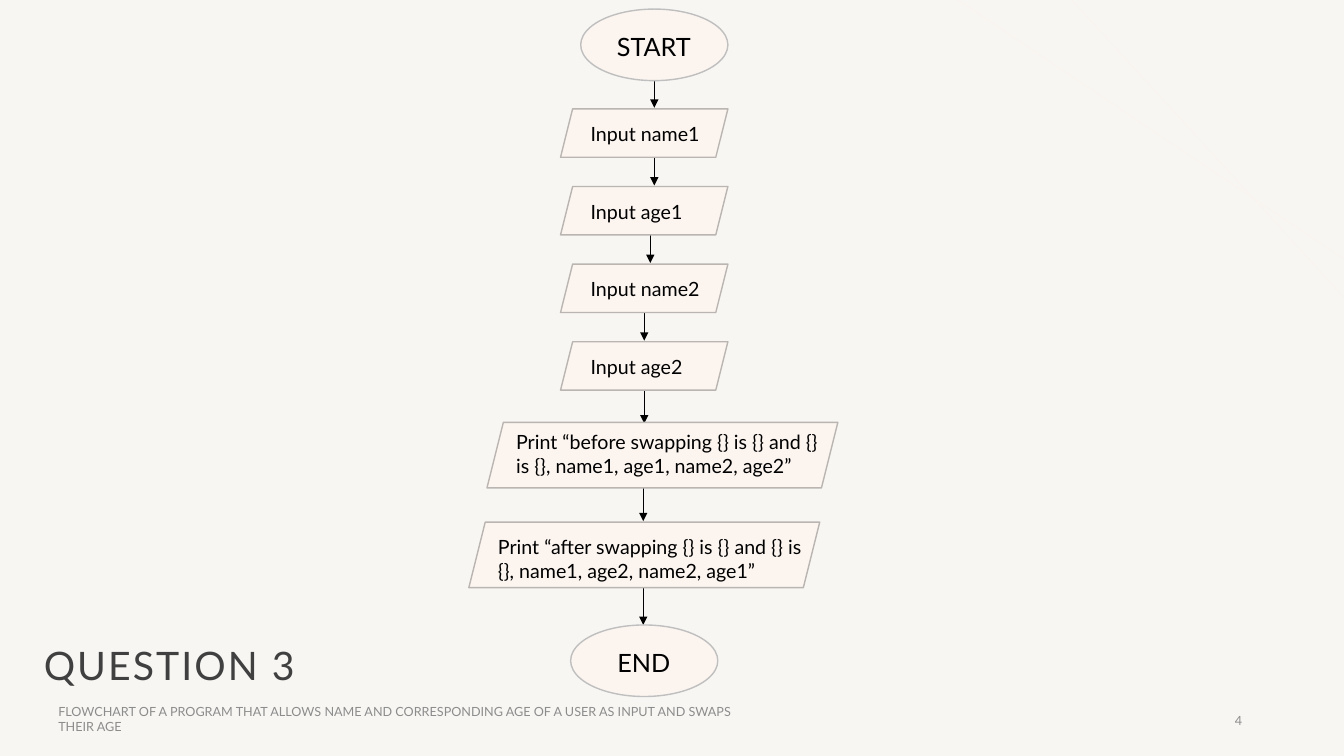
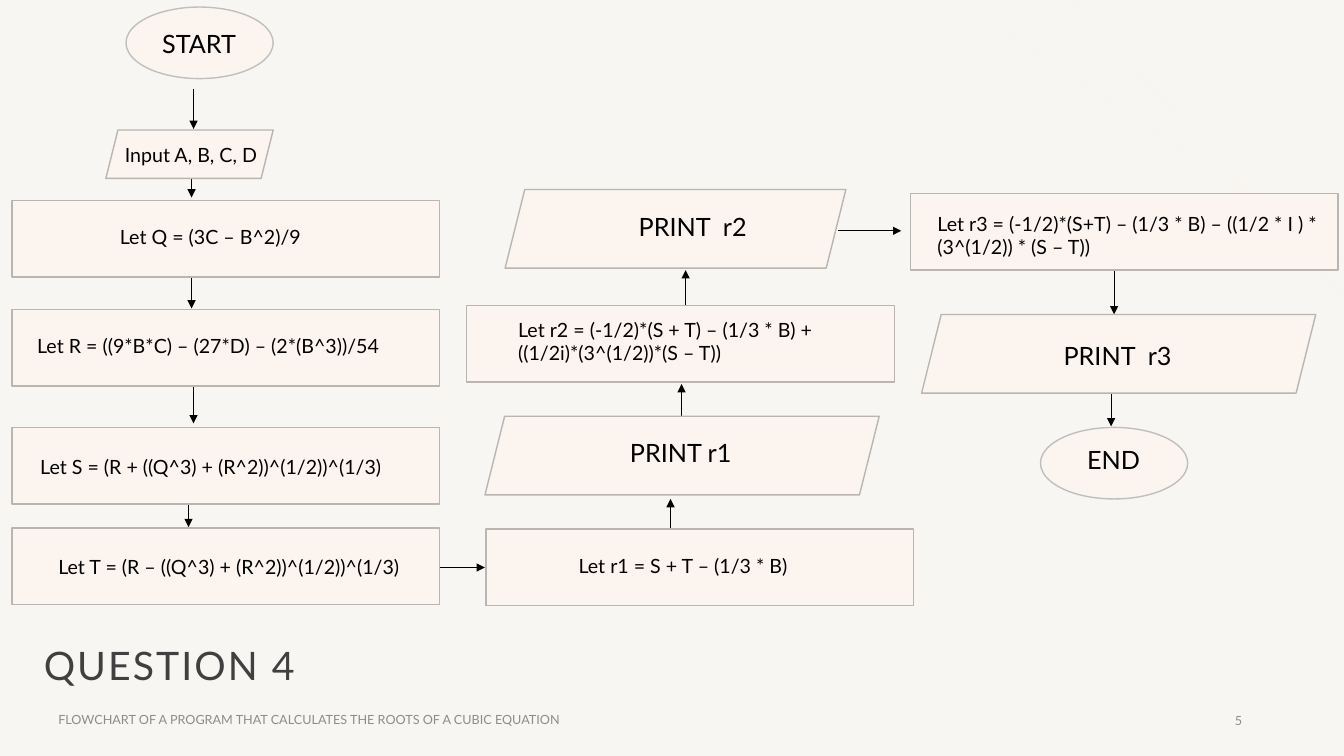
from dataclasses import dataclass

from lxml import etree
from pptx import Presentation
from pptx.dml.color import RGBColor
from pptx.enum.shapes import MSO_CONNECTOR, MSO_SHAPE
from pptx.enum.text import MSO_ANCHOR, MSO_AUTO_SIZE, PP_ALIGN
from pptx.oxml.ns import qn
from pptx.slide import Slide
from pptx.text.text import TextFrame
from pptx.util import Emu, Pt

EMU_PER_PX = 9144  # 100 px to the inch
SLIDE_WIDTH, SLIDE_HEIGHT = 1333, 750

FONT = "Lato"
BACKGROUND = RGBColor(0xF7, 0xF6, 0xF3)
CREAM = RGBColor(0xFB, 0xF4, 0xEF)
TERMINAL_LINE = RGBColor(0xBF, 0xBF, 0xBF)
STEP_LINE = RGBColor(0xBA, 0xB5, 0xB1)
BLACK = RGBColor(0, 0, 0)
TITLE_COLOR = RGBColor(0x40, 0x40, 0x40)
FOOTER_COLOR = RGBColor(0x8C, 0x8C, 0x8C)

ELLIPSE = MSO_SHAPE.OVAL
PARALLELOGRAM = MSO_SHAPE.PARALLELOGRAM
RECTANGLE = MSO_SHAPE.RECTANGLE
STRAIGHT = MSO_CONNECTOR.STRAIGHT
LEFT, CENTER, RIGHT = PP_ALIGN.LEFT, PP_ALIGN.CENTER, PP_ALIGN.RIGHT
TOP, MIDDLE = MSO_ANCHOR.TOP, MSO_ANCHOR.MIDDLE
FIXED, GROW = MSO_AUTO_SIZE.NONE, MSO_AUTO_SIZE.SHAPE_TO_FIT_TEXT
TITLE_ONLY_LAYOUT = 5


@dataclass(frozen=True)
class Box:
    left: int
    top: int
    width: int
    height: int

    def emu(self) -> tuple[Emu, Emu, Emu, Emu]:
        return px(self.left), px(self.top), px(self.width), px(self.height)


@dataclass(frozen=True)
class Line:
    x1: int
    y1: int
    x2: int
    y2: int


@dataclass(frozen=True)
class Node:
    """A flowchart symbol; the label is placed from the symbol's corner."""
    symbol: MSO_SHAPE
    box: Box
    text: str
    label_x: int
    label_y: int
    label_width: int
    size: int = 14
    align: PP_ALIGN = LEFT


@dataclass(frozen=True)
class Flowchart:
    title: str
    footer: str
    number: int
    nodes: list[Node]
    arrows: list[Line]


DECORATION = [Line(950, 0, 1333, 257), Line(1063, 0, 1333, 295)]


def px(length: int) -> Emu:
    return Emu(length * EMU_PER_PX)


def down(x: int, y: int, length: int = 40) -> Line:
    return Line(x, y, x, y + length)


def up(x: int, y: int) -> Line:
    return down(x, y, -40)


def right(x: int, y: int) -> Line:
    return Line(x, y, x + 63, y)


def terminal(left: int, top: int, text: str, label_y: int = 17) -> Node:
    return Node(ELLIPSE, Box(left, top, 146, 71), text, 20, label_y, 105, 18, CENTER)


def read_step(left: int, top: int, text: str, label_x: int = 20, label_width: int = 146) -> Node:
    return Node(PARALLELOGRAM, Box(left, top, 166, 48), text, label_x, 8, label_width)


def message_step(left: int, top: int, text: str, label_y: int) -> Node:
    return Node(PARALLELOGRAM, Box(left, top, 348, 65), text, 19, label_y, 328)


def print_step(box: Box, text: str, label_x: int, label_y: int, label_width: int,
               align: PP_ALIGN = CENTER) -> Node:
    return Node(PARALLELOGRAM, box, text, label_x, label_y, label_width, 18, align)


def formula(left: int, top: int, text: str, label_x: int, label_y: int, label_width: int) -> Node:
    return Node(RECTANGLE, Box(left, top, 424, 76), text, label_x, label_y, label_width)


def write(frame: TextFrame, text: str, *, size: int, color: RGBColor, align: PP_ALIGN = LEFT,
          anchor: MSO_ANCHOR = TOP, auto_size: MSO_AUTO_SIZE = FIXED,
          line_spacing: float = 1.0, tracking: float = 0) -> None:
    """Fill a frame with one paragraph; size and tracking are in points."""
    frame.word_wrap = True
    frame.auto_size = auto_size
    frame.vertical_anchor = anchor
    paragraph = frame.paragraphs[0]
    paragraph.alignment = align
    paragraph.line_spacing = line_spacing
    run = paragraph.add_run()
    run.text = text
    run.font.name = FONT
    run.font.size = Pt(size)
    run.font.color.rgb = color
    if tracking:
        run._r.get_or_add_rPr().set("spc", str(round(tracking * 100)))


def draw_line(slide: Slide, line: Line, color: RGBColor, arrow: bool = False) -> None:
    connector = slide.shapes.add_connector(
        STRAIGHT, px(line.x1), px(line.y1), px(line.x2), px(line.y2))
    connector.line.color.rgb = color
    connector.line.width = Pt(0.5)
    properties = connector._element.spPr
    if arrow:
        etree.SubElement(properties.find(qn("a:ln")), qn("a:tailEnd"), type="triangle")
    etree.SubElement(properties, qn("a:effectLst"))


def draw_node(slide: Slide, node: Node) -> None:
    """Group the symbol with its label."""
    group = slide.shapes.add_group_shape()
    shape = group.shapes.add_shape(node.symbol, *node.box.emu())
    shape.shadow.inherit = False
    shape.fill.solid()
    shape.fill.fore_color.rgb = CREAM
    shape.line.color.rgb = TERMINAL_LINE if node.symbol == ELLIPSE else STEP_LINE
    shape.line.width = Pt(1)
    label_box = Box(node.box.left + node.label_x, node.box.top + node.label_y,
                    node.label_width, 34)
    label = group.shapes.add_textbox(*label_box.emu())
    write(label.text_frame, node.text, size=node.size, color=BLACK,
          align=node.align, auto_size=GROW)


def draw_footer(slide: Slide, text: str, box: Box, align: PP_ALIGN) -> None:
    footer = slide.shapes.add_textbox(*box.emu())
    write(footer.text_frame, text, size=9, color=FOOTER_COLOR, align=align, anchor=MIDDLE)


def draw_flowchart(slide: Slide, chart: Flowchart) -> None:
    title = slide.shapes.title
    title.left, title.top, title.width, title.height = Box(0, 631, 336, 64).emu()
    write(title.text_frame, chart.title, size=28, color=TITLE_COLOR, align=CENTER,
          anchor=MIDDLE, line_spacing=0.9, tracking=1.5)
    for line in DECORATION:
        draw_line(slide, line, CREAM)
    for arrow in chart.arrows:
        draw_line(slide, arrow, BLACK, arrow=True)
    draw_footer(slide, chart.footer, Box(48, 702, 707, 23), LEFT)
    draw_footer(slide, str(chart.number), Box(942, 695, 300, 40), RIGHT)
    for node in chart.nodes:
        draw_node(slide, node)


INPUTS = ["Input name1", "Input age1", "Input name2", "Input age2"]

SWAP_AGES = Flowchart(
    title="QUESTION 3",
    footer="FLOWCHART OF A PROGRAM THAT ALLOWS NAME AND CORRESPONDING AGE OF A USER "
           "AS INPUT AND SWAPS THEIR AGE",
    number=4,
    nodes=[
        terminal(576, 9, "START"),
        *(read_step(556, 108 + 77 * row, text) for row, text in enumerate(INPUTS)),
        message_step(483, 419, "Print “before swapping {} is {} and {} is {}, "
                               "name1, age1, name2, age2”", 3),
        message_step(465, 518, "Print “after swapping {} is {} and {} is {}, "
                               "name1, age2, name2, age1”", 8),
        terminal(566, 620, "END"),
    ],
    arrows=[
        *(down(x, 67 + 77 * row) for row, x in enumerate([649, 649, 645, 639])),
        down(639, 380), down(638, 477), down(638, 580),
    ],
)

CUBIC_ROOTS = Flowchart(
    title="QUESTION 4",
    footer="FLOWCHART OF A PROGRAM THAT CALCULATES THE ROOTS OF A CUBIC EQUATION",
    number=5,
    nodes=[
        terminal(125, 7, "START", 16),
        read_step(105, 129, "Input A, B, C, D", 9, 166),
        formula(12, 199, "Let Q = (3C – B^2)/9", 97, 19, 328),
        formula(12, 307, "Let R = ((9*B*C) – (27*D) – (2*(B^3))/54", 15, 19, 446),
        formula(12, 424, "Let S = (R + ((Q^3) + (R^2))^(1/2))^(1/3)", 18, 22, 424),
        formula(12, 524, "Let T = (R – ((Q^3) + (R^2))^(1/2))^(1/3)", 36, 22, 382),
        formula(482, 525, "Let r1 = S + T – (1/3 * B)", 82, 20, 366),
        print_step(Box(481, 413, 391, 78), "PRINT r1", 134, 16, 327, LEFT),
        formula(463, 303, "Let r2 = (-1/2)*(S + T) – (1/3 * B) + "
                          "((1/2i)*(3^(1/2))*(S – T))", 41, 7, 328),
        print_step(Box(501, 188, 338, 78), "PRINT  r2", 45, 17, 282),
        formula(903, 192, "Let r3 = (-1/2)*(S+T) – (1/3 * B) – ((1/2 * I ) * "
                          "(3^(1/2)) * (S – T))", 17, 13, 406),
        print_step(Box(914, 312, 391, 78), "PRINT  r3", 31, 21, 327),
        terminal(1032, 424, "END", 12),
    ],
    arrows=[
        down(192, 88), down(190, 156), down(190, 266), down(192, 380), down(187, 483),
        right(418, 563), up(665, 535), up(676, 421), up(680, 308), right(831, 229),
        down(1105, 240, 72), down(1102, 351, 72),
    ],
)


def main() -> None:
    presentation = Presentation()
    presentation.slide_width = px(SLIDE_WIDTH)
    presentation.slide_height = px(SLIDE_HEIGHT)
    background = presentation.slide_master.background.fill
    background.solid()
    background.fore_color.rgb = BACKGROUND
    layout = presentation.slide_layouts[TITLE_ONLY_LAYOUT]
    for chart in (SWAP_AGES, CUBIC_ROOTS):
        draw_flowchart(presentation.slides.add_slide(layout), chart)
    presentation.save("out.pptx")


if __name__ == "__main__":
    main()
